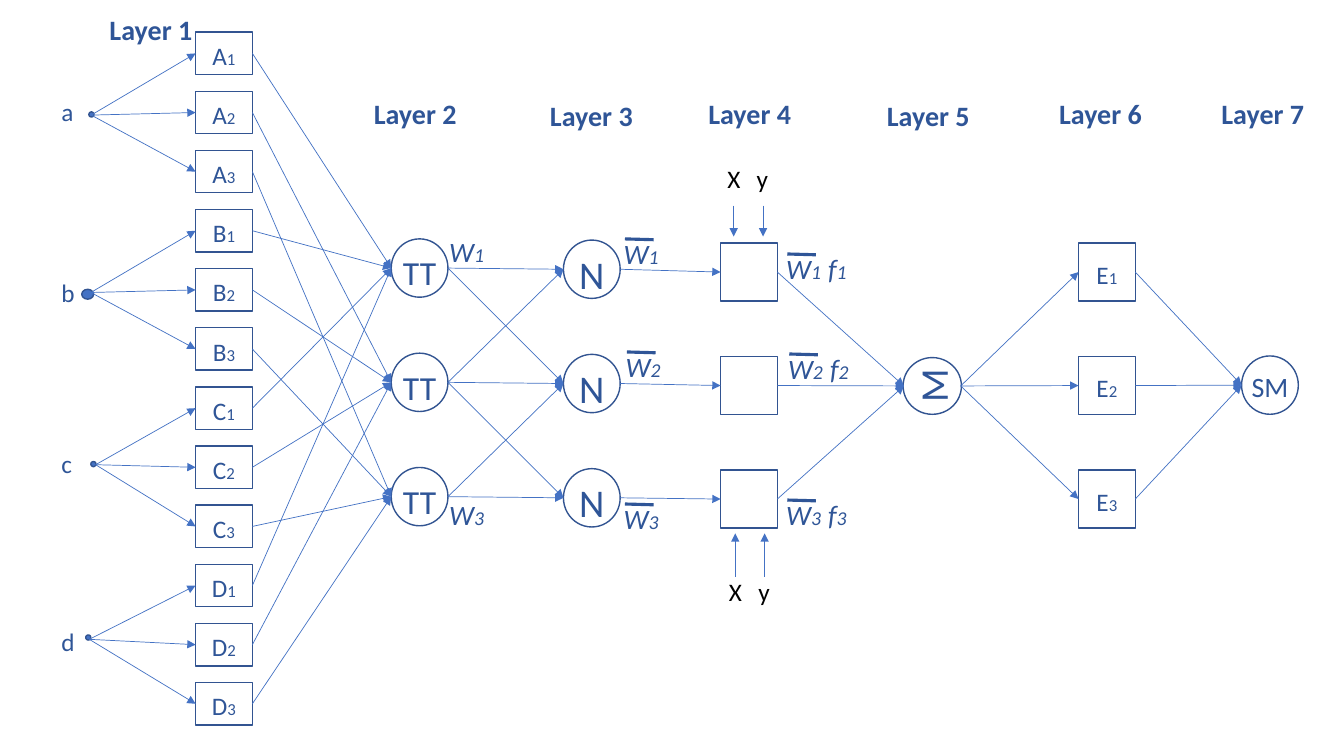
import pptx
import pptx.dml.color
import pptx.enum.shapes
import pptx.enum.text
import pptx.util
import lxml.etree
from pptx.util import Cm

NAVY, OUTLINE, BLUE, BLACK = "2F5597", "325491", "4472C4", "000000"
RECT = pptx.enum.shapes.MSO_SHAPE.RECTANGLE
OVAL = pptx.enum.shapes.MSO_SHAPE.OVAL
NODE_WIDTH, NODE_HEIGHT = 1.43, 1.47
RULE_HEIGHT = 1.07

deck = pptx.Presentation()
deck.slide_width, deck.slide_height = Cm(33.87), Cm(19.05)
page = deck.slides.add_slide(deck.slide_layouts[6])


def color(hex_code):
    """Turn a hex string into a colour."""
    return pptx.dml.color.RGBColor.from_string(hex_code)


def add_box(text, left, top, width, height, kind=None, fill=None, sub="",
            size=18, sub_size=12, ink=NAVY, bold=False, italic=False, drop=0):
    """Add a text box, or an outlined shape of a kind, with an optional small index."""
    area = Cm(left), Cm(top), Cm(width), Cm(height)
    if kind is None:
        box = page.shapes.add_textbox(*area)
    else:
        box = page.shapes.add_shape(kind, *area)
        box.shadow.inherit = False
        box.line.color.rgb = color(OUTLINE)
        box.line.width = pptx.util.Pt(1)
        if fill:
            box.fill.solid()
            box.fill.fore_color.rgb = color(fill)
        else:
            box.fill.background()
    if not text:
        return box
    frame = box.text_frame
    frame.word_wrap = kind is None
    para = frame.paragraphs[0]
    if kind is not None:
        frame.vertical_anchor = pptx.enum.text.MSO_ANCHOR.MIDDLE
        frame.margin_left = frame.margin_right = frame.margin_bottom = 0
        frame.margin_top = Cm(drop)
        para.alignment = pptx.enum.text.PP_ALIGN.CENTER
    for words, points in ((text, size), (sub, sub_size)):
        if words:
            span = para.add_run()
            span.text = words
            span.font.name = "Calibri"
            span.font.size = pptx.util.Pt(points)
            span.font.bold, span.font.italic = bold, italic
            span.font.color.rgb = color(ink)
    return box


def add_line(start, end, ink=BLUE, weight=0.5, arrow=True):
    """Draw a straight line between two points, with an arrowhead at the end."""
    straight = pptx.enum.shapes.MSO_CONNECTOR.STRAIGHT
    line = page.shapes.add_connector(straight, *(Cm(n) for n in (*start, *end)))
    line.line.color.rgb = color(ink)
    line.line.width = pptx.util.Pt(weight)
    space = "{http://schemas.openxmlformats.org/drawingml/2006/main}"
    if arrow:
        stroke = line.line._get_or_add_ln()
        lxml.etree.SubElement(stroke, space + "tailEnd", type="triangle")
    lxml.etree.SubElement(line._element.spPr, space + "effectLst")


# Layer titles
titles = [(2.51, 0.18), (9.17, 2.31), (13.61, 2.36), (17.6, 2.31),
          (22.1, 2.36), (26.44, 2.31), (30.53, 2.31)]
for number, (left, top) in enumerate(titles, 1):
    add_box(f"Layer {number}", left, top, 2.92, 1.12, size=20, bold=True)

# Layer 1: each input fans out to three rule boxes
# name, label top, dot (left, top, width, height), arrow start
inputs = [
    ("a", 2.31, (2.24, 2.82, 0.13, 0.13), (2.3, 2.9)),
    ("b", 6.86, (2.06, 7.29, 0.3, 0.25), (2.29, 7.37)),
    ("c", 11.18, (2.29, 11.63, 0.13, 0.13), (2.41, 11.71)),
    ("d", 15.65, (2.16, 16, 0.13, 0.13), (2.25, 16.11)),
]
rule_left, rule_top, rule_step = 4.93, 0.81, 1.49
rule_middles = []
for group, (name, label_top, dot, start) in enumerate(inputs):
    add_box(name, 1.3, label_top, 0.94, 1.02)
    add_box("", *dot, kind=OVAL, fill=BLUE)
    for index in range(3):
        top = rule_top + (3 * group + index) * rule_step
        add_box(name.upper(), rule_left, top, NODE_WIDTH, RULE_HEIGHT, RECT,
                sub=str(index + 1), drop=0.1)
        middle = top + RULE_HEIGHT / 2
        rule_middles.append(middle)
        add_line(start, (rule_left, middle))

# Layers 2 to 7: left, first top, step, count, shape, text, size, text drop
layers = [
    (9.86, 6.02, 2.88, 3, OVAL, "TT", 24, 0.22),
    (14.2, 6.05, 2.88, 3, OVAL, "N", 28, 0.22),
    (18.16, 6.12, 2.86, 3, RECT, "", 18, 0),
    (22.78, 8.99, 0, 1, OVAL, "M", 28, 0),
    (27.18, 6.12, 2.86, 3, RECT, "E", 18, 0.1),
    (31.29, 8.97, 0, 1, OVAL, "SM", 20, 0.05),
]
entries, exits = [], []
for left, first, step, count, kind, text, size, drop in layers:
    tops = [first + step * row for row in range(count)]
    for row, top in enumerate(tops, 1):
        node = add_box(text, left, top, NODE_WIDTH, NODE_HEIGHT, kind, size=size,
                       sub=str(row) if text == "E" else "", drop=drop)
        if text == "M":
            node.rotation = 270  # the turned M reads as a summation sign
    entries.append([(left, top + NODE_HEIGHT / 2) for top in tops])
    exits.append([(left + NODE_WIDTH, top + NODE_HEIGHT / 2) for top in tops])

# Arrows between layers
for order, middle in enumerate(rule_middles):
    add_line((rule_left + NODE_WIDTH, middle), entries[0][order % 3])
reaches = [1, 0, 2, 2, 2]  # how many rows an arrow may cross after each layer
for starts, ends, reach in zip(exits, entries[1:], reaches):
    for row, start in enumerate(starts):
        for target, end in enumerate(ends):
            if abs(row - target) <= reach:
                add_line(start, end)

# Weights: left, top, index, overbar, f term
weights = [
    (11.07, 5.79, "1", False, False), (11.07, 12.4, "3", False, False),
    (15.47, 5.84, "1", True, False), (15.52, 8.69, "2", True, False),
    (15.47, 12.52, "3", True, False),
    (19.56, 6.22, "1", True, True), (19.61, 8.74, "2", True, True),
    (19.56, 12.42, "3", True, True),
]
for left, top, index, barred, has_f in weights:
    style = dict(sub=index, size=20, sub_size=14, italic=True)
    add_box("W", left, top, 1.73, 1.12, **style)
    if barred:
        add_line((left + 0.28, top + 0.18), (left + 1, top + 0.2),
                 ink=NAVY, weight=2.25, arrow=False)
    if has_f:
        add_box("f", left + 1.06, top, 1.3, 1.12, **style)

# Inputs X and y above and below layer 4: label left, label top, arrow start and end
for left, top, start, end in [(18.08, 3.99, 5.18, 5.96), (18.12, 14.4, 14.53, 13.44)]:
    for column, name in enumerate("Xy"):
        offset = left + 0.74 * column
        add_box(name, offset, top, 0.95, 1.02, ink=BLACK)
        add_line((offset + 0.41, start), (offset + 0.41, end))

deck.save("out.pptx")
